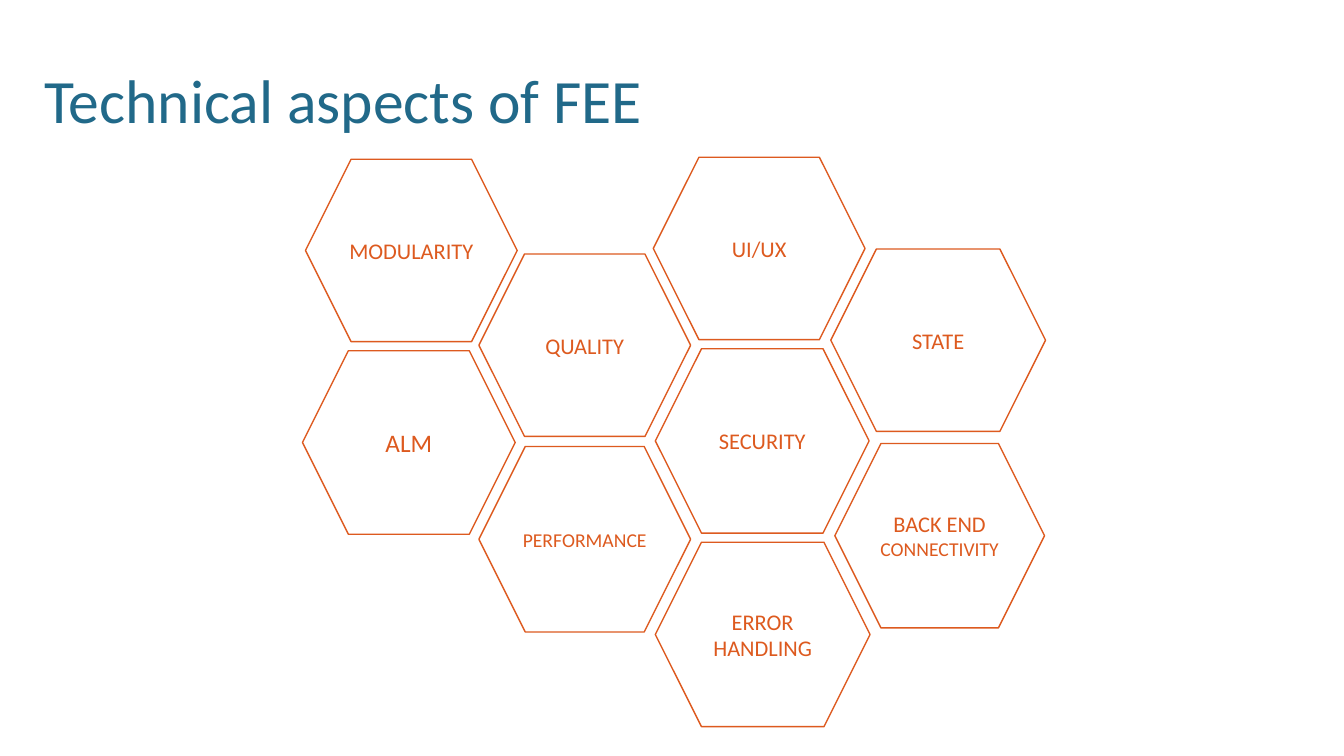
import pptx
import pptx.dml.color
import pptx.enum.shapes
import pptx.enum.text
import pptx.util
from pptx.util import Inches

COLORS = {"title": "216989", "aspect": "DD5A1F", "background": "FFFFFF"}

# Left, top, width, height in inches, then each line of the label with its size.
ASPECTS = [
    (6.5, 5.38, 2.13, 1.83, [("ERROR HANDLING", 16)]),
    (3.03, 1.58, 2.1, 1.81, [("MODULARITY", 16)]),
    (4.75, 2.52, 2.1, 1.81, [("QUALITY", 16)]),
    (6.48, 1.56, 2.1, 1.81, [("UI/UX", 16)]),
    (8.24, 2.47, 2.13, 1.81, [("STATE", 16)]),
    (8.28, 4.4, 2.08, 1.83, [("BACK END", 16), ("CONNECTIVITY", 14)]),
    (6.5, 3.46, 2.12, 1.83, [("SECURITY", 16)]),
    (4.75, 4.43, 2.1, 1.84, [("PERFORMANCE", 14)]),
    (3, 3.48, 2.11, 1.82, [("ALM", 18)]),
]


class SlideBuilder:
    font_name = "Calibri"

    def __init__(self, presentation):
        self.slide = presentation.slides.add_slide(presentation.slide_layouts[6])
        background = self.slide.background.fill
        background.solid()
        background.fore_color.rgb = self.color("background")

    def color(self, role):
        return pptx.dml.color.RGBColor.from_string(COLORS[role])

    def set_lines(self, frame, lines, role):
        """Fill the frame with one paragraph of sized lines, centred vertically."""
        frame.word_wrap = True
        frame.vertical_anchor = pptx.enum.text.MSO_ANCHOR.MIDDLE
        paragraph = frame.paragraphs[0]
        paragraph.text = "\v".join(text for text, _ in lines)
        for run, (_, size) in zip(paragraph.runs, lines):
            run.font.name = self.font_name
            run.font.size = pptx.util.Pt(size)
            run.font.color.rgb = self.color(role)
        return paragraph

    def title(self, left, top, width, height, text):
        box = self.slide.shapes.add_textbox(
            Inches(left), Inches(top), Inches(width), Inches(height))
        self.set_lines(box.text_frame, [(text, 44)], "title").line_spacing = 0.9

    def hexagon(self, left, top, width, height, lines):
        cell = self.slide.shapes.add_shape(
            pptx.enum.shapes.MSO_SHAPE.HEXAGON,
            Inches(left), Inches(top), Inches(width), Inches(height))
        cell.shadow.inherit = False
        cell.fill.background()
        cell.line.color.rgb = self.color("aspect")
        cell.line.width = pptx.util.Pt(1)
        label = self.set_lines(cell.text_frame, lines, "aspect")
        label.alignment = pptx.enum.text.PP_ALIGN.CENTER


def main():
    presentation = pptx.Presentation()
    presentation.slide_width = Inches(13.33)
    presentation.slide_height = Inches(7.5)
    builder = SlideBuilder(presentation)
    for aspect in ASPECTS:
        builder.hexagon(*aspect)
    builder.title(0.34, 0.3, 11.5, 1.45, "Technical aspects of FEE")
    presentation.save("out.pptx")


if __name__ == "__main__":
    main()
